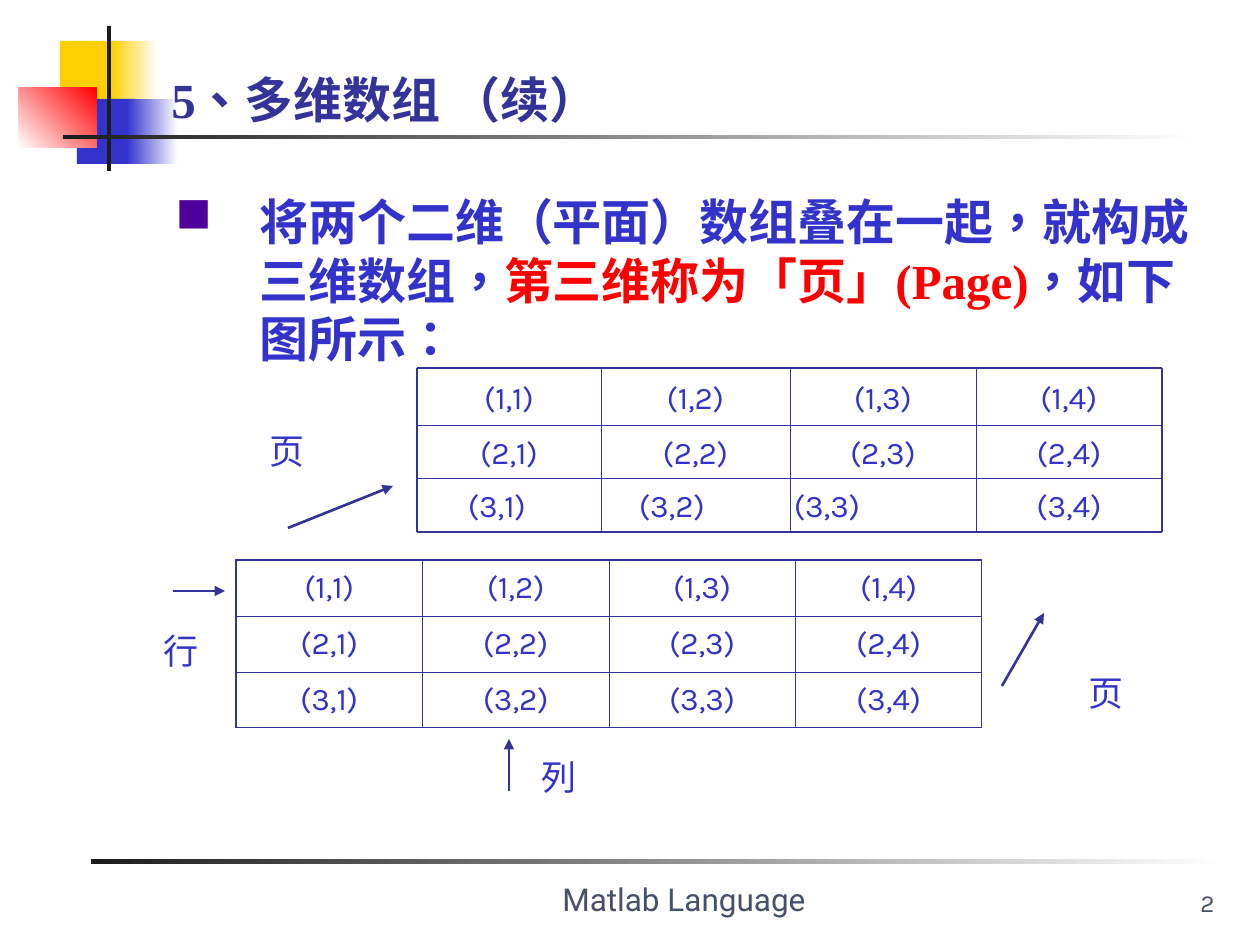
from lxml import etree
from pptx import Presentation
from pptx.dml.color import RGBColor
from pptx.enum.lang import MSO_LANGUAGE_ID
from pptx.enum.shapes import MSO_CONNECTOR, MSO_SHAPE
from pptx.enum.text import MSO_ANCHOR, PP_ALIGN
from pptx.oxml import parse_xml
from pptx.oxml.ns import nsdecls, qn
from pptx.util import Pt

RECTANGLE = MSO_SHAPE.RECTANGLE
STRAIGHT = MSO_CONNECTOR.STRAIGHT
LEFT, CENTER, RIGHT = PP_ALIGN.LEFT, PP_ALIGN.CENTER, PP_ALIGN.RIGHT
MIDDLE, BOTTOM, TOP = MSO_ANCHOR.MIDDLE, MSO_ANCHOR.BOTTOM, MSO_ANCHOR.TOP
CHINESE = MSO_LANGUAGE_ID.TRADITIONAL_CHINESE
rgb = RGBColor.from_string

PX = 7257  # EMU per pixel, 126 pixels to the inch
BLUE, NAVY, RED, BLACK, WHITE = "3333CC", "333399", "FF0000", "1C1C1C", "FFFFFF"
SLATE = "45516B"

presentation = Presentation()
presentation.slide_width = 1260 * PX
presentation.slide_height = 945 * PX
slide = presentation.slides.add_slide(presentation.slide_layouts[6])
shapes = slide.shapes


def write(frame, runs, size, font="Karla", bold=False, align=LEFT, anchor=TOP, before=0):
    """Fill the first paragraph of a text frame with (text, colour) runs."""
    frame.word_wrap = True
    frame.vertical_anchor = anchor
    paragraph = frame.paragraphs[0]
    paragraph.alignment = align
    paragraph.space_before = Pt(before)
    for text, color in runs:
        run = paragraph.add_run()
        run.text = text
        run.font.size = Pt(size)
        run.font.name = font
        run.font.bold = bold
        run.font.language_id = CHINESE
        run.font.color.rgb = rgb(color)
    return paragraph


def add_line(x1, y1, x2, y2, width, arrow=False):
    line = shapes.add_connector(STRAIGHT, x1 * PX, y1 * PX, x2 * PX, y2 * PX)
    line.line.color.rgb = rgb(NAVY)
    line.line.width = Pt(width)
    if arrow:
        etree.SubElement(line.line._get_or_add_ln(), qn("a:tailEnd"), type="triangle")
    etree.SubElement(line._element.spPr, qn("a:effectLst"))


# Corner ornament and rules: left, top, width, height, colours, gradient angle
ornaments = [
    (60, 41, 60, 65, ["FFCF01"], 0),
    (112, 41, 45, 65, ["FFCF01", WHITE], 0),
    (77, 99, 58, 65, [BLUE], 0),
    (127, 99, 51, 65, [BLUE, WHITE], 0),
    (19, 88, 78, 60, [WHITE, RED], 45),
    (107, 26, 4, 145, [BLACK], 0),
    (63, 135, 1134, 4, [BLACK, WHITE], 0),
    (91, 859, 1134, 5, [BLACK, WHITE], 0),
]
for left, top, width, height, colors, angle in ornaments:
    ornament = shapes.add_shape(RECTANGLE, left * PX, top * PX, width * PX, height * PX)
    ornament.shadow.inherit = False
    ornament.line.fill.background()
    if len(colors) == 1:
        ornament.fill.solid()
        ornament.fill.fore_color.rgb = rgb(colors[0])
    else:
        ornament.fill.gradient()
        ornament.fill.gradient_angle = angle
        for stop, color in zip(ornament.fill.gradient_stops, colors):
            stop.color.rgb = rgb(color)

# Footer, page number and title
footer = shapes.add_textbox(461 * PX, 861 * PX, 446 * PX, 63 * PX)
write(footer.text_frame, [("Matlab Language", SLATE)], 18, "Roboto", align=CENTER, anchor=BOTTOM)
page_number = shapes.add_textbox(942 * PX, 861 * PX, 285 * PX, 63 * PX)
write(page_number.text_frame, [("2", SLATE)], 14, align=RIGHT, anchor=BOTTOM)
title = shapes.add_textbox(159 * PX, 45 * PX, 1074 * PX, 90 * PX)
write(title.text_frame, [("5、多维数组 （续）", NAVY)], 28, "Times New Roman", bold=True, anchor=BOTTOM)

# Bulleted statement
body = shapes.add_textbox(163 * PX, 185 * PX, 1042 * PX, 660 * PX)
statement = [
    ("将两个二维（平面）数组叠在一起，就构成三维数组，", BLUE),
    ("第三维称为「页」(Page)", RED),
    ("，如下图所示：", BLUE),
]
paragraph = write(body.text_frame, statement, 28, "Times New Roman", bold=True, before=7)
properties = paragraph._p.get_or_add_pPr()
properties.set("marL", str(84 * PX))
properties.set("indent", str(-84 * PX))
bullet_color = etree.SubElement(properties, qn("a:buClr"))
etree.SubElement(bullet_color, qn("a:srgbClr"), val="4D009A")
etree.SubElement(properties, qn("a:buChar"), char="■")

# Back page: rectangles under ruled lines
column_edges = [417, 601, 790, 976, 1162]
row_edges = [368, 425, 478, 532]
back_cells = [
    (row, column, column + 1, f"({row + 1},{column + 1})")
    for row in range(2) for column in range(4)
]
back_cells += [(2, 0, 3, "(3,1)\t(3,2)\t(3,3)"), (2, 3, 4, "(3,4)")]
for row, first, last, text in back_cells:
    left, top = column_edges[first], row_edges[row]
    width, height = column_edges[last] - left, row_edges[row + 1] - top
    cell = shapes.add_shape(RECTANGLE, left * PX, top * PX, width * PX, height * PX)
    cell.shadow.inherit = False
    cell.line.fill.background()
    cell.fill.solid()
    cell.fill.fore_color.rgb = rgb(WHITE)
    white = cell._element.spPr.find(".//" + qn("a:srgbClr"))
    etree.SubElement(white, qn("a:alpha"), val="50000")
    spans_columns = last - first > 1
    paragraph = write(cell.text_frame, [(text, BLUE)], 18,
                      align=LEFT if spans_columns else CENTER, anchor=MIDDLE, before=4.5)
    if spans_columns:
        cell.text_frame.margin_left = 51 * PX
        tabs = etree.SubElement(paragraph._p.get_or_add_pPr(), qn("a:tabLst"))
        for position in (171, 326):
            etree.SubElement(tabs, qn("a:tab"), pos=str(position * PX), algn="l")

for y in row_edges:
    add_line(column_edges[0], y, column_edges[-1], y, 1.5 if y in (368, 532) else 0.5)
for x in column_edges:
    add_line(x, row_edges[0], x, row_edges[-1], 1.5 if x in (417, 1162) else 0.5)

# Front page: table
rows, columns = 3, 4
frame = shapes.add_table(rows, columns, 236 * PX, 560 * PX, 746 * PX, 168 * PX)
table = frame.table
table.first_row = False
table.horz_banding = False
for column in table.columns:
    column.width = 746 * PX // columns
for row in table.rows:
    row.height = 56 * PX
for row in range(rows):
    for column in range(columns):
        cell = table.cell(row, column)
        write(cell.text_frame, [(f"({row + 1},{column + 1})", BLUE)], 18, align=CENTER, before=4.5)
        cell.vertical_anchor = MIDDLE
        outer_sides = {
            "lnL": column == 0, "lnR": column == columns - 1,
            "lnT": row == 0, "lnB": row == rows - 1,
        }
        cell_properties = cell._tc.get_or_add_tcPr()
        for side, outer in outer_sides.items():
            width = Pt(0.75 if outer else 0.23)
            cell_properties.append(parse_xml(
                f'<a:{side} {nsdecls("a")} w="{width}"><a:solidFill>'
                f'<a:srgbClr val="{NAVY}"/></a:solidFill></a:{side}>'))
        cell.fill.solid()
        cell.fill.fore_color.rgb = rgb(WHITE)

# Arrows with the names of the dimensions: arrow ends, then label left, top, width
dimensions = [
    ("页", (1002, 686, 1044, 613), (1076, 665, 94)),
    ("列", (509, 791, 509, 739), (529, 749, 94)),
    ("页", (288, 528, 393, 486), (257, 423, 63)),
    ("行", (173, 591, 225, 591), (151, 623, 63)),
]
for name, ends, (left, top, width) in dimensions:
    add_line(*ends, 1.5, arrow=True)
    label = shapes.add_textbox(left * PX, top * PX, width * PX, 55 * PX)
    write(label.text_frame, [(name, BLUE)], 20, before=12.5)

presentation.save("out.pptx")
